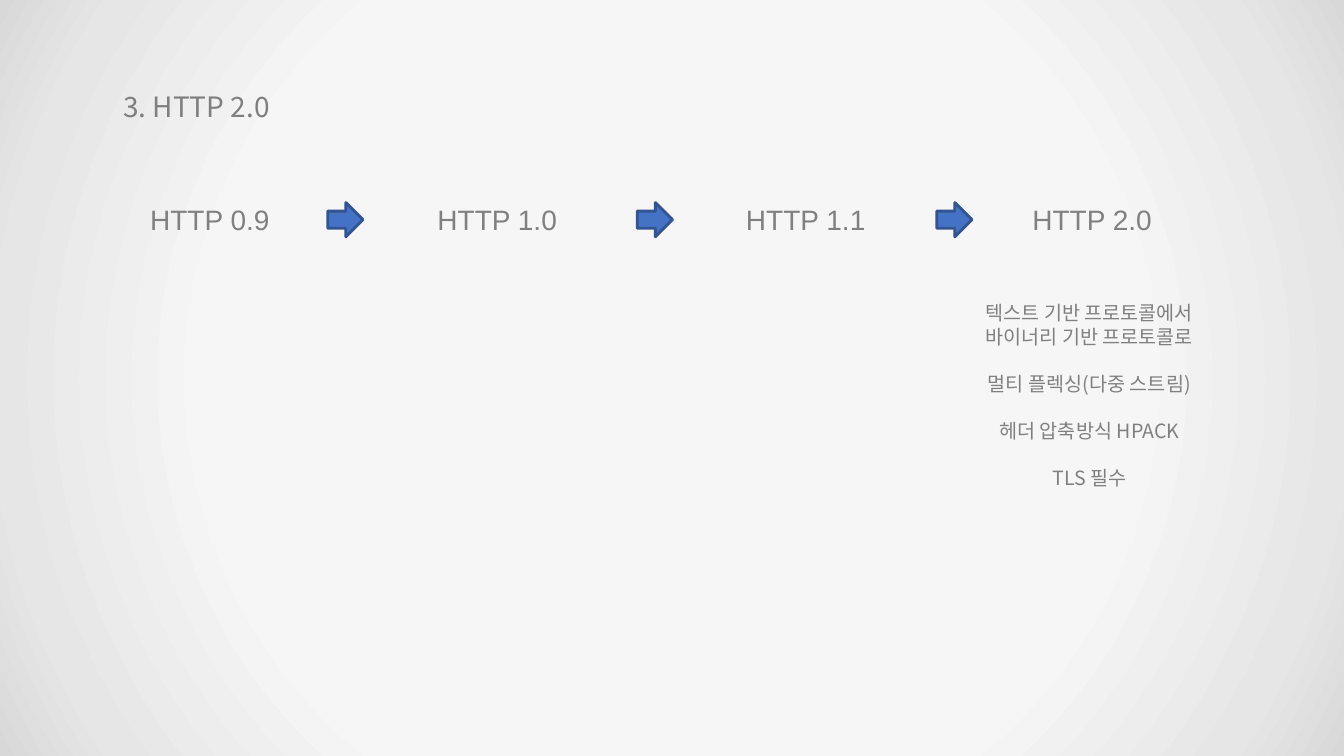
import pptx
import pptx.dml.color
import pptx.enum.shapes
import pptx.enum.text
import pptx.oxml
import pptx.oxml.ns
import pptx.util

Inches, Pt = pptx.util.Inches, pptx.util.Pt
RGBColor = pptx.dml.color.RGBColor
Align = pptx.enum.text.PP_ALIGN

TITLE_GRAY = RGBColor(0x7F, 0x7F, 0x7F)
TEXT_GRAY = RGBColor(0x80, 0x80, 0x80)
ARROW_BLUE = RGBColor(0x44, 0x72, 0xC4)
ARROW_EDGE = RGBColor(0x32, 0x54, 0x91)
BACKDROP = {0: RGBColor(0xF6, 0xF6, 0xF6), 60: RGBColor(0xF6, 0xF6, 0xF6),
            87: RGBColor(0xE7, 0xE6, 0xE6), 100: RGBColor(0xD8, 0xD8, 0xD8)}
KOREAN_FONT = "Noto Sans CJK KR"


def write(para, text, size, color, font, **layout):
    """Add one run to a paragraph and apply its font and paragraph format."""
    span = para.add_run()
    span.text = text
    for name, value in {"size": Pt(size), "name": font, "bold": False}.items():
        setattr(span.font, name, value)
    span.font.color.rgb = color
    east_asian = pptx.oxml.parse_xml(
        f'<a:ea {pptx.oxml.ns.nsdecls("a")} typeface="{font}"/>')
    span.font._element.append(east_asian)
    for name, value in layout.items():
        setattr(para, name, value)


def add_text_box(page, left, top, width, height):
    """Add a wrapping text box that grows with its text."""
    box = page.shapes.add_textbox(*map(Inches, (left, top, width, height)))
    box.text_frame.word_wrap = True
    box.text_frame.auto_size = pptx.enum.text.MSO_AUTO_SIZE.SHAPE_TO_FIT_TEXT
    return box.text_frame


deck = pptx.Presentation()
deck.slide_width, deck.slide_height = Inches(13.33), Inches(7.5)
page = deck.slides.add_slide(deck.slide_layouts[5])

# Background: circular gradient around the centre
stops = "".join(f'<a:gs pos="{share * 1000}"><a:srgbClr val="{color}"/></a:gs>'
                for share, color in BACKDROP.items())
page.background.fill.solid()
fill = page.background._cSld.bg.bgPr[0]
fill.getparent().replace(fill, pptx.oxml.parse_xml(
    f'<a:gradFill {pptx.oxml.ns.nsdecls("a")} rotWithShape="1"><a:gsLst>{stops}</a:gsLst>'
    '<a:path path="circle"><a:fillToRect l="50000" t="50000" r="50000" b="50000"/>'
    '</a:path></a:gradFill>'))

# Title
title = page.shapes.title
for name, value in {"left": 1.12, "top": 0.81, "width": 6.24, "height": 0.61}.items():
    setattr(title, name, Inches(value))
title.text_frame.vertical_anchor = pptx.enum.text.MSO_ANCHOR.TOP
title.text_frame.auto_size = pptx.enum.text.MSO_AUTO_SIZE.NONE
write(title.text_frame.paragraphs[0], "3. HTTP 2.0", 20, TITLE_GRAY, KOREAN_FONT,
      alignment=Align.LEFT, line_spacing=Pt(26))

# Protocol versions
versions = {"HTTP 0.9": 1.39, "HTTP 1.0": 4.24, "HTTP 1.1": 7.3, "HTTP 2.0": 10.14}
for version, left in versions.items():
    frame = add_text_box(page, left, 1.96, 1.7, 0.44)
    write(frame.paragraphs[0], version, 20, TEXT_GRAY, "Arial")

# Arrows between the versions
for left in (3.25, 6.32, 9.29):
    arrow = page.shapes.add_shape(pptx.enum.shapes.MSO_SHAPE.RIGHT_ARROW,
                                  *map(Inches, (left, 2.01, 0.35, 0.34)))
    arrow.shadow.inherit = False
    arrow.fill.solid()
    arrow.fill.fore_color.rgb = ARROW_BLUE
    arrow.line.color.rgb = ARROW_EDGE
    arrow.line.width = Pt(2)

# Features of HTTP 2.0, with the space in lines before each one
features = [("텍스트 기반 프로토콜에서", 0), ("바이너리 기반 프로토콜로", 0),
            ("멀티 플렉싱(다중 스트림)", 1), ("헤더 압축방식 HPACK", 1), ("TLS 필수", 1)]
LINE = 16.8
frame = add_text_box(page, 9.64, 2.94, 2.33, 1.99)
for index, (feature, gap) in enumerate(features):
    para = frame.add_paragraph() if index else frame.paragraphs[0]
    write(para, feature, 14, TEXT_GRAY, KOREAN_FONT, alignment=Align.CENTER,
          line_spacing=Pt(LINE), space_before=Pt(gap * LINE))

deck.save("out.pptx")
